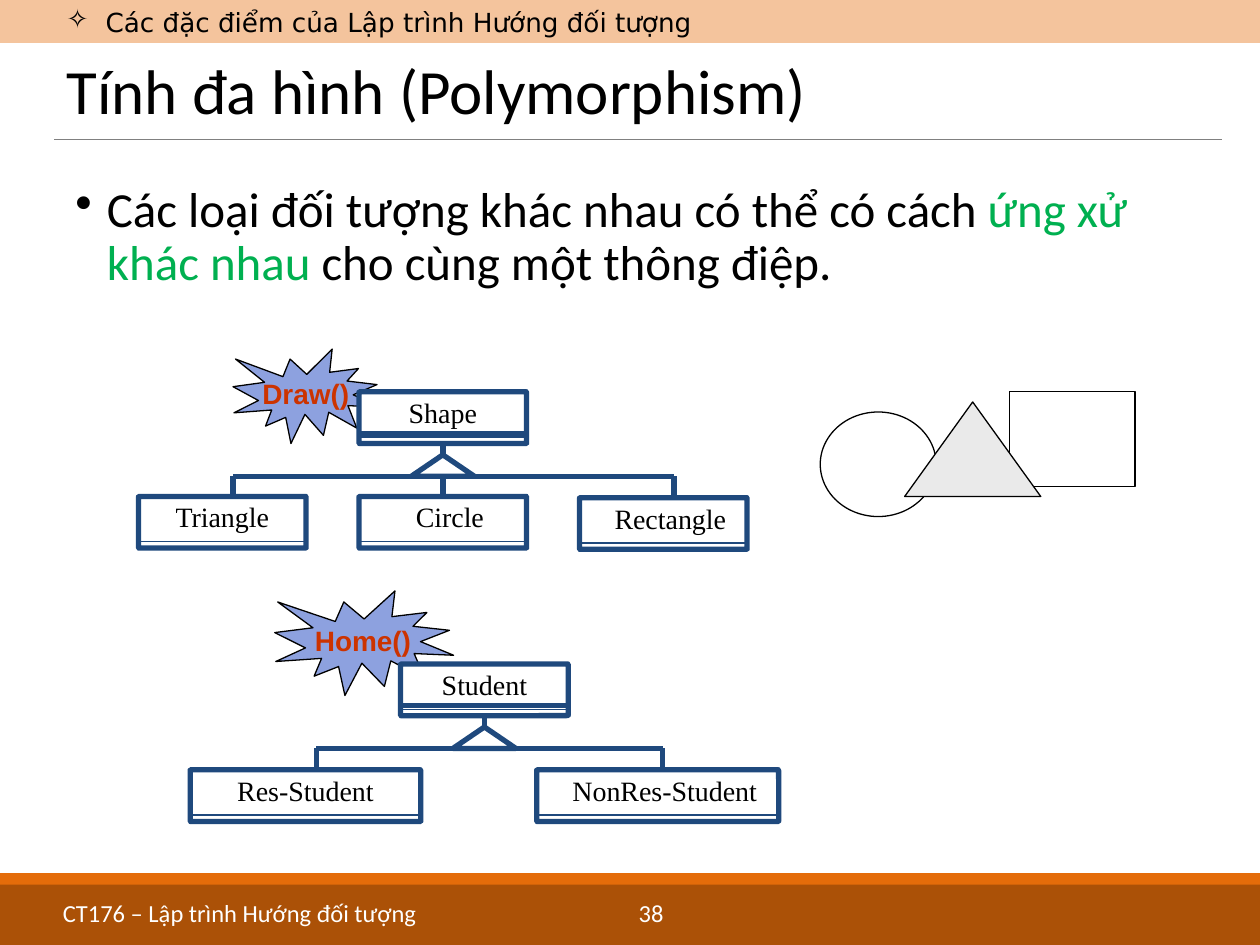
from lxml.etree import SubElement
from pptx import Presentation
from pptx.dml.color import RGBColor
from pptx.enum.shapes import MSO_CONNECTOR, MSO_SHAPE
from pptx.enum.text import MSO_ANCHOR, PP_ALIGN
from pptx.oxml.ns import qn
from pptx.util import Inches, Pt

COLORS = {
    "orange": "E46C0A", "brown": "984807", "gray": "808080", "white": "FFFFFF",
    "black": "000000", "green": "00B050", "navy": "1F497D", "violet": "8DA1DF",
    "red": "CC3300", "silver": "EAEAEA",
}
FORMATS = {
    "header": {"name": "DejaVu Sans", "size": Pt(15), "color": "black"},
    "title": {"name": "Calibri", "size": Pt(36), "color": "black"},
    "body": {"name": "Calibri", "size": Pt(28), "color": "black"},
    "accent": {"name": "Calibri", "size": Pt(28), "color": "green"},
    "footer": {"name": "Calibri", "size": Pt(14), "color": "white"},
    "class": {"name": "Times New Roman", "size": Pt(16), "color": "black"},
    "message": {"name": "Arial", "size": Pt(16), "bold": True, "color": "red"},
}
HEADER = "Các đặc điểm của Lập trình Hướng đối tượng"
TITLE = "Tính đa hình (Polymorphism)"
BODY = [
    ("Các loại đối tượng khác nhau có thể có cách ", "body"),
    ("ứng xử khác nhau", "accent"),
    (" cho cùng một thông điệp.", "body"),
]
FOOTER = "CT176 – Lập trình Hướng đối tượng\t38"
BARS = [
    ((0, 0, 10, 0.34), "orange", 40),
    ((0, 6.93, 10, 0.57), "orange", 100),
    ((0, 7.02, 10, 0.48), "brown", 75),
]
TREES = [
    {
        "message": ("Draw()", (1.85, 2.77, 1.17, 0.75)),
        "parent": ("Shape", 2.85, 3.11),
        "children": [
            ("Triangle", 1.1, 3.94, 1.33, 0, 1.85),
            ("Circle", 2.85, 3.94, 1.33, 0.11, None),
            ("Rectangle", 4.6, 3.95, 1.33, 0.11, 5.35),
        ],
    },
    {
        "message": ("Home()", (2.18, 4.69, 1.42, 0.83)),
        "parent": ("Student", 3.18, 5.27),
        "children": [
            ("Res-Student", 1.51, 6.11, 1.83, 0, 2.51),
            ("NonRes-Student", 4.26, 6.11, 1.92, 0.11, 5.26),
        ],
    },
]
FIGURES = [
    (MSO_SHAPE.RECTANGLE, (8.01, 3.11, 1, 0.75), None),
    (MSO_SHAPE.OVAL, (6.51, 3.27, 0.92, 0.83), None),
    (MSO_SHAPE.ISOSCELES_TRIANGLE, (7.18, 3.19, 1.08, 0.75), "silver"),
]
PARENT_WIDTH, BOX_HEIGHT, LABEL_HEIGHT = 1.33, 0.41, 0.36


def rgb(name):
    return RGBColor.from_string(COLORS[name])


def add_shape(page, kind, place, fill=None, line=None, width=0.75, alpha=100):
    shape = page.shapes.add_shape(kind, *map(Inches, place))
    shape.shadow.inherit = False
    if fill:
        shape.fill.solid()
        shape.fill.fore_color.rgb = rgb(fill)
        if alpha < 100:
            color = shape.fill._xPr.find(".//" + qn("a:srgbClr"))
            SubElement(color, qn("a:alpha"), val=str(alpha * 1000))
    else:
        shape.fill.background()
    if line:
        shape.line.color.rgb = rgb(line)
        shape.line.width = Pt(width)
    else:
        shape.line.fill.background()
    return shape


def add_line(page, start, end, color="navy", width=3):
    line = page.shapes.add_connector(MSO_CONNECTOR.STRAIGHT, *map(Inches, start + end))
    line.line.color.rgb = rgb(color)
    line.line.width = Pt(width)
    SubElement(line._element.spPr, qn("a:effectLst"))
    return line


def write(box, runs, anchor=MSO_ANCHOR.TOP, align=PP_ALIGN.LEFT, spacing=1.0, wrap=True):
    frame = box.text_frame
    frame.word_wrap = wrap
    frame.vertical_anchor = anchor
    para = frame.paragraphs[0]
    para.alignment = align
    para.line_spacing = spacing
    for text, style in runs:
        span = para.add_run()
        span.text = text
        for key, value in FORMATS[style].items():
            if key == "color":
                span.font.color.rgb = rgb(value)
            else:
                setattr(span.font, key, value)
    return para


def add_text(page, place, runs, **options):
    return write(page.shapes.add_textbox(*map(Inches, place)), runs, **options)


def add_bullet(para, char, indent):
    properties = para._p.get_or_add_pPr()
    properties.set("marL", str(Inches(indent)))
    properties.set("indent", str(Inches(-indent)))
    SubElement(properties, qn("a:buChar"), char=char)


def add_tab(para, position):
    tabs = SubElement(para._p.get_or_add_pPr(), qn("a:tabLst"))
    SubElement(tabs, qn("a:tab"), pos=str(Inches(position)), algn="l")


def add_class(page, name, left, top, width, shift=0):
    box = add_shape(page, MSO_SHAPE.ROUNDED_RECTANGLE, (left, top, width, BOX_HEIGHT),
                    "white", "navy", 3)
    box.adjustments[0] = 0.004
    label = add_shape(page, MSO_SHAPE.RECTANGLE, (left, top, width, LABEL_HEIGHT), None, "navy")
    label.text_frame.margin_left = Inches(0.1 + shift)
    write(label, [(name, "class")], align=PP_ALIGN.CENTER, spacing=0.94)
    return box


def add_tree(page, tree):
    message, place = tree["message"]
    seal = add_shape(page, MSO_SHAPE.EXPLOSION1, place, "violet", "black")
    write(seal, [(message, "message")], MSO_ANCHOR.MIDDLE, PP_ALIGN.CENTER, wrap=False)

    name, left, top = tree["parent"]
    right, center, bus = left + PARENT_WIDTH, left + PARENT_WIDTH / 2, top + 0.67
    drops = [child[-1] for child in tree["children"] if child[-1]]
    add_line(page, (drops[0], bus), (drops[-1], bus))
    parent = add_class(page, name, left, top, PARENT_WIDTH)
    add_line(page, (left, top + 0.33), (right, top + 0.33))
    stem = add_line(page, (center, top + BOX_HEIGHT), (center, bus))
    stem.begin_connect(parent, 2)

    for label, x, y, width, shift, drop in tree["children"]:
        child = add_class(page, label, x, y, width, shift)
        if drop:
            add_line(page, (drop, bus), (drop, y))
        else:
            add_line(page, (center, bus), (center, y)).end_connect(child, 0)
    add_shape(page, MSO_SHAPE.ISOSCELES_TRIANGLE, (center - 0.25, top + 0.5, 0.5, 0.17),
              "white", "navy", 3)


def main():
    """Build the polymorphism slide with its two class trees."""
    deck = Presentation()
    deck.slide_width, deck.slide_height = Inches(10), Inches(7.5)
    page = deck.slides.add_slide(deck.slide_layouts[6])
    for place, fill, alpha in BARS:
        add_shape(page, MSO_SHAPE.RECTANGLE, place, fill, alpha=alpha)
    add_line(page, (0.43, 1.11), (9.7, 1.11), "gray", 0.5)
    footer = add_text(page, (0.4, 7.08, 9.3, 0.28), [(FOOTER, "footer")])
    add_tab(footer, 4.57)
    add_text(page, (0.43, 0.4, 9.27, 0.7), [(TITLE, "title")],
             anchor=MSO_ANCHOR.MIDDLE, spacing=0.9)
    add_bullet(add_text(page, (0.5, 1.42, 9, 2.08), BODY, spacing=0.9), "•", 0.25)
    header = add_text(page, (0.43, 0.02, 9.27, 0.31), [(HEADER, "header")],
                      anchor=MSO_ANCHOR.MIDDLE)
    add_bullet(header, "✧", 0.31)
    for tree in TREES:
        add_tree(page, tree)
    for kind, place, fill in FIGURES:
        add_shape(page, kind, place, fill, "black")
    deck.save("out.pptx")


if __name__ == "__main__":
    main()
